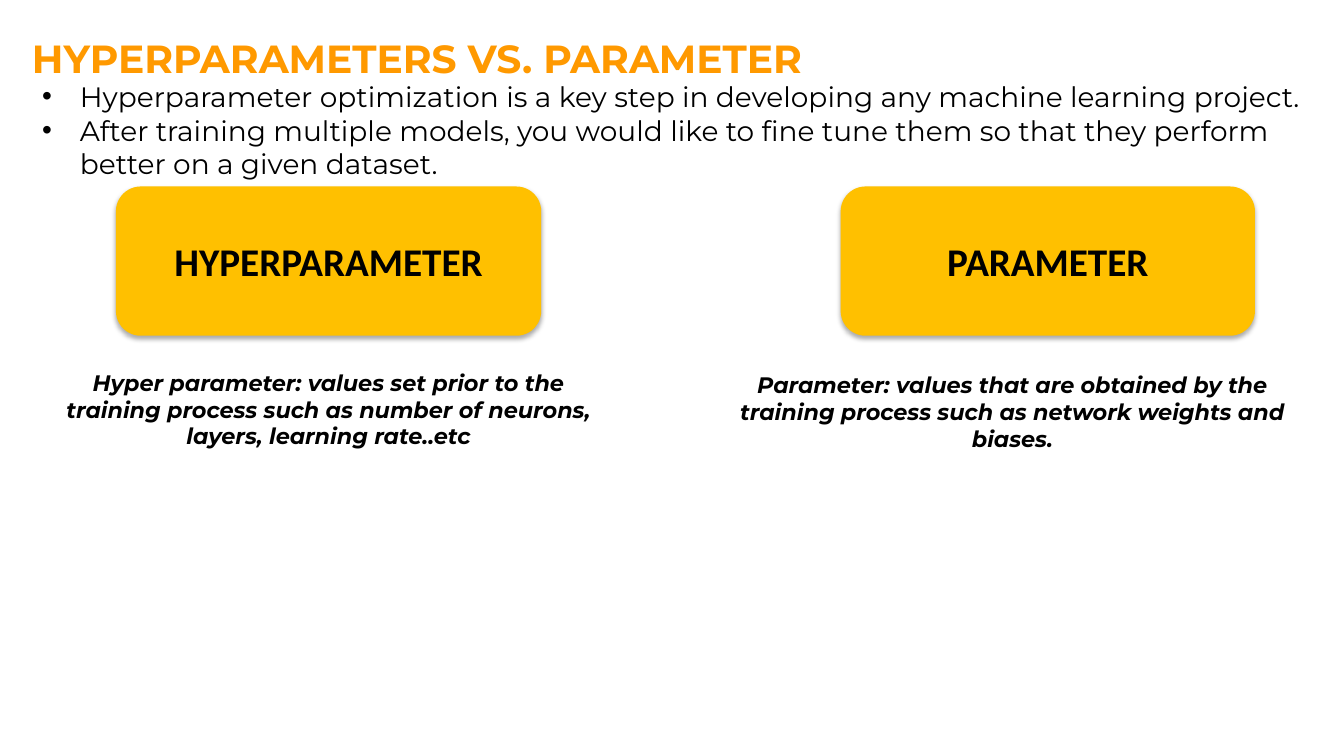
"""Build the slide that contrasts hyperparameters with parameters."""
from dataclasses import dataclass

from lxml import etree
from pptx import Presentation
from pptx.dml.color import RGBColor
from pptx.enum.shapes import MSO_SHAPE
from pptx.enum.text import MSO_ANCHOR, MSO_AUTO_SIZE, PP_ALIGN
from pptx.oxml.ns import qn
from pptx.shapes.autoshape import Shape
from pptx.slide import Slide
from pptx.util import Pt

ORANGE = RGBColor(0xFF, 0x99, 0x00)
AMBER = RGBColor(0xFF, 0xC0, 0x00)
BLACK = RGBColor(0x00, 0x00, 0x00)
ROUNDED = MSO_SHAPE.ROUNDED_RECTANGLE
MIDDLE = MSO_ANCHOR.MIDDLE
GROW = MSO_AUTO_SIZE.SHAPE_TO_FIT_TEXT
LEFT = PP_ALIGN.LEFT
CENTER = PP_ALIGN.CENTER
CARD_TOP, CARD_HEIGHT = 133.2, 106.6
BULLET_INDENT = 27


@dataclass(frozen=True)
class Style:
    size: float
    font: str = "Montserrat"
    color: RGBColor = BLACK
    bold: bool = False
    italic: bool = False
    align: PP_ALIGN = LEFT
    bullet: str = ""


@dataclass(frozen=True)
class Box:
    left: float
    top: float
    width: float
    height: float


@dataclass(frozen=True)
class Concept:
    name: str
    card_left: float
    card_width: float
    definition: str
    definition_box: Box


HEADING = Style(28, color=ORANGE, bold=True)
POINT = Style(20, bullet="•")
CARD_NAME = Style(28, font="Calibri", bold=True, align=CENTER)
DEFINITION = Style(16, bold=True, italic=True, align=CENTER)

POINTS = [
    "Hyperparameter optimization is a key step in developing any machine learning project.",
    "After training multiple models, you would like to fine tune them so that they perform "
    "better on a given dataset.",
]
CONCEPTS = [
    Concept("HYPERPARAMETER", 82.8, 303.8,
            "Hyper parameter: values set prior to the training process such as "
            "number of neurons, layers, learning rate..etc",
            Box(25.2, 259.9, 419, 65.5)),
    Concept("PARAMETER", 600.5, 295.9,
            "Parameter: values that are obtained by the training process such as "
            "network weights and biases.",
            Box(519.8, 261.4, 406.8, 65.5)),
]


def write(shape: Shape, lines: list[str], style: Style) -> None:
    """Fill a shape with one styled paragraph per line."""
    frame = shape.text_frame
    frame.word_wrap = True
    frame.text = "\n".join(lines)
    for paragraph in frame.paragraphs:
        paragraph.alignment = style.align
        font = paragraph.font
        font.name, font.size = style.font, Pt(style.size)
        font.bold, font.italic = style.bold, style.italic
        font.color.rgb = style.color
        if style.bullet:
            properties = paragraph._p.get_or_add_pPr()
            properties.set("marL", str(Pt(BULLET_INDENT)))
            properties.set("indent", str(-Pt(BULLET_INDENT)))
            bullet_font = etree.Element(qn("a:buFont"), typeface="Arial")
            bullet = etree.Element(qn("a:buChar"), char=style.bullet)
            properties.insert(0, bullet_font)
            properties.insert(1, bullet)


def add_text(slide: Slide, box: Box, lines: list[str], style: Style) -> None:
    """Add a text box that grows with its text."""
    text = slide.shapes.add_textbox(Pt(box.left), Pt(box.top), Pt(box.width), Pt(box.height))
    write(text, lines, style)
    text.text_frame.auto_size = GROW


def add_shadow(shape: Shape) -> None:
    """Give a shape a soft shadow falling straight down."""
    shape.shadow.inherit = False
    effects = shape._element.spPr.find(qn("a:effectLst"))
    shadow = etree.SubElement(effects, qn("a:outerShdw"), blurRad=str(Pt(3.5)),
                              dist=str(Pt(2.2)), dir="5400000", rotWithShape="0")
    color = etree.SubElement(shadow, qn("a:srgbClr"), val=str(BLACK))
    etree.SubElement(color, qn("a:alpha"), val="32000")


def add_concept(slide: Slide, concept: Concept) -> None:
    """Add a named card and the definition below it."""
    card = slide.shapes.add_shape(ROUNDED, Pt(concept.card_left), Pt(CARD_TOP),
                                  Pt(concept.card_width), Pt(CARD_HEIGHT))
    card.fill.solid()
    card.fill.fore_color.rgb = AMBER
    card.line.fill.background()
    add_shadow(card)
    write(card, [concept.name], CARD_NAME)
    card.text_frame.vertical_anchor = MIDDLE
    add_text(slide, concept.definition_box, [concept.definition], DEFINITION)


def main() -> None:
    """Assemble and save the presentation."""
    presentation = Presentation()
    presentation.slide_width, presentation.slide_height = Pt(960), Pt(540)
    slide = presentation.slides.add_slide(presentation.slide_layouts[6])
    add_text(slide, Box(15.8, 20.9, 684, 41), ["HYPERPARAMETERS VS. PARAMETER"], HEADING)
    for concept in CONCEPTS:
        add_concept(slide, concept)
    add_text(slide, Box(23, 53.3, 914.4, 79.9), POINTS, POINT)
    presentation.save("out.pptx")


if __name__ == "__main__":
    main()
